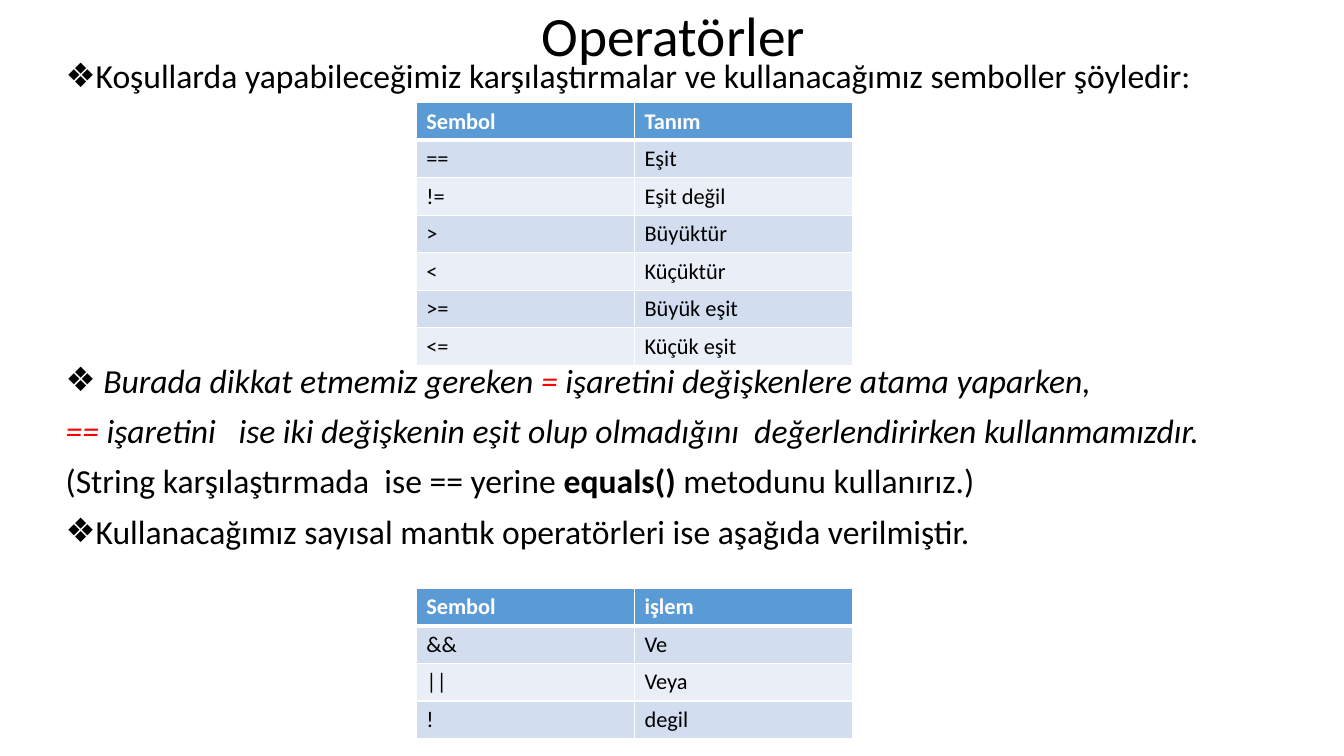
"""Build the slide on comparison and logical operators."""
from lxml.etree import SubElement
from pptx import Presentation
from pptx.dml.color import RGBColor
from pptx.enum.text import MSO_ANCHOR, MSO_AUTO_SIZE, PP_ALIGN
from pptx.oxml.ns import qn
from pptx.util import Cm, Pt

BLACK = RGBColor(0x00, 0x00, 0x00)
WHITE = RGBColor(0xFF, 0xFF, 0xFF)
RED = RGBColor(0xFF, 0x00, 0x00)
HEADER_BLUE = RGBColor(0x5B, 0x9B, 0xD5)
BANDS = (RGBColor(0xD2, 0xDE, 0xEF), RGBColor(0xEA, 0xEF, 0xF7))

TITLE = "Operatörler"
PLAIN = {}
ITALIC = {"italic": True}
RED_ITALIC = {"italic": True, "color": RED}
BOLD = {"bold": True}

LINE_GAP = 10
TABLE_GAP = 191.8
BODY = [
    (True, LINE_GAP, [
        ("Koşullarda yapabileceğimiz karşılaştırmalar ve kullanacağımız semboller şöyledir:", PLAIN)]),
    (True, TABLE_GAP, [
        (" Burada dikkat etmemiz gereken ", ITALIC),
        ("= ", RED_ITALIC),
        ("işaretini değişkenlere atama yaparken,", ITALIC)]),
    (False, LINE_GAP, [
        ("==", RED_ITALIC),
        (" işaretini   ise iki değişkenin eşit olup olmadığını  değerlendirirken kullanmamızdır.", ITALIC)]),
    (False, LINE_GAP, [
        ("(String karşılaştırmada  ise == yerine ", PLAIN),
        ("equals() ", BOLD),
        ("metodunu kullanırız.)", PLAIN)]),
    (True, LINE_GAP, [
        ("Kullanacağımız sayısal mantık operatörleri ise aşağıda verilmiştir.", PLAIN)]),
]

COMPARISONS = [
    ("Sembol", "Tanım"),
    ("==", "Eşit"),
    ("!=", "Eşit değil"),
    (">", "Büyüktür"),
    ("<", "Küçüktür"),
    (">=", "Büyük eşit"),
    ("<=", "Küçük eşit"),
]
LOGIC = [
    ("Sembol", "işlem"),
    ("&&", "Ve"),
    ("||", "Veya"),
    ("!", "degil"),
]
TABLES = [(Cm(2.59), COMPARISONS), (Cm(14.83), LOGIC)]
TABLE_LEFT, COLUMN_WIDTH, ROW_HEIGHT = Cm(10.49), Cm(5.5), Cm(0.93)
BULLET_INDENT = Cm(0.64)


def place(shape, left, top, width, height):
    """Move and size a shape."""
    box = {"left": left, "top": top, "width": width, "height": height}
    for name, value in box.items():
        setattr(shape, name, Cm(value))


def add_span(para, text, size, color=BLACK, **styles):
    """Add one formatted run to a paragraph."""
    span = para.add_run()
    span.text = text
    span.font.color.rgb = color
    for name, value in {"name": "Calibri", "size": Pt(size), **styles}.items():
        setattr(span.font, name, value)


def set_bullet(para, bulleted):
    """Give a paragraph a hanging diamond bullet, or none."""
    properties = para._p.get_or_add_pPr()
    indent = BULLET_INDENT if bulleted else 0
    properties.set("marL", str(indent))
    properties.set("indent", str(-indent))
    if bulleted:
        SubElement(properties, qn("a:buChar"), char="❖")
    else:
        SubElement(properties, qn("a:buNone"))


def fill_body(frame):
    """Write the body paragraphs."""
    frame.auto_size = MSO_AUTO_SIZE.NONE
    frame.vertical_anchor = MSO_ANCHOR.TOP
    for index, (bulleted, gap, spans) in enumerate(BODY):
        para = frame.add_paragraph() if index else frame.paragraphs[0]
        layout = {"alignment": PP_ALIGN.JUSTIFY, "line_spacing": 0.9, "space_before": Pt(gap)}
        for name, value in layout.items():
            setattr(para, name, value)
        set_bullet(para, bulleted)
        for text, styles in spans:
            add_span(para, text, 24, **styles)


def set_borders(cell, widths):
    """Draw white cell borders with the given point widths."""
    properties = cell._tc.get_or_add_tcPr()
    for position, (side, width) in enumerate(widths.items()):
        line = properties.makeelement(qn(f"a:ln{side}"), {"w": str(Pt(width))})
        fill = SubElement(line, qn("a:solidFill"))
        SubElement(fill, qn("a:srgbClr"), val=str(WHITE))
        properties.insert(position, line)


def add_symbol_table(slide, top, rows):
    """Add a two-column table with a header and banded rows."""
    columns = len(rows[0])
    table = slide.shapes.add_table(
        len(rows), columns, TABLE_LEFT, top,
        COLUMN_WIDTH * columns, ROW_HEIGHT * len(rows)).table
    for row_index, row in enumerate(rows):
        header = row_index == 0
        for column_index, text in enumerate(row):
            cell = table.cell(row_index, column_index)
            cell.fill.solid()
            cell.fill.fore_color.rgb = HEADER_BLUE if header else BANDS[(row_index - 1) % 2]
            set_borders(cell, {"L": 1, "R": 1, "T": 3 if row_index == 1 else 1, "B": 3 if header else 1})
            add_span(cell.text_frame.paragraphs[0], text, 16,
                     color=WHITE if header else BLACK, bold=header)


def main():
    """Build and save the deck."""
    deck = Presentation()
    deck.slide_width, deck.slide_height = Cm(33.87), Cm(19.05)
    page = deck.slides.add_slide(deck.slide_layouts[1])
    title, body = page.placeholders

    place(title, 5.54, 0, 22.86, 1.73)
    title.text_frame.auto_size = MSO_AUTO_SIZE.NONE
    title.text_frame.vertical_anchor = MSO_ANCHOR.MIDDLE
    heading = title.text_frame.paragraphs[0]
    heading.alignment = PP_ALIGN.CENTER
    add_span(heading, TITLE, 39.6)

    place(body, 1.4, 1.37, 30.99, 17.68)
    fill_body(body.text_frame)
    for top, rows in TABLES:
        add_symbol_table(page, top, rows)
    deck.save("out.pptx")


if __name__ == "__main__":
    main()
